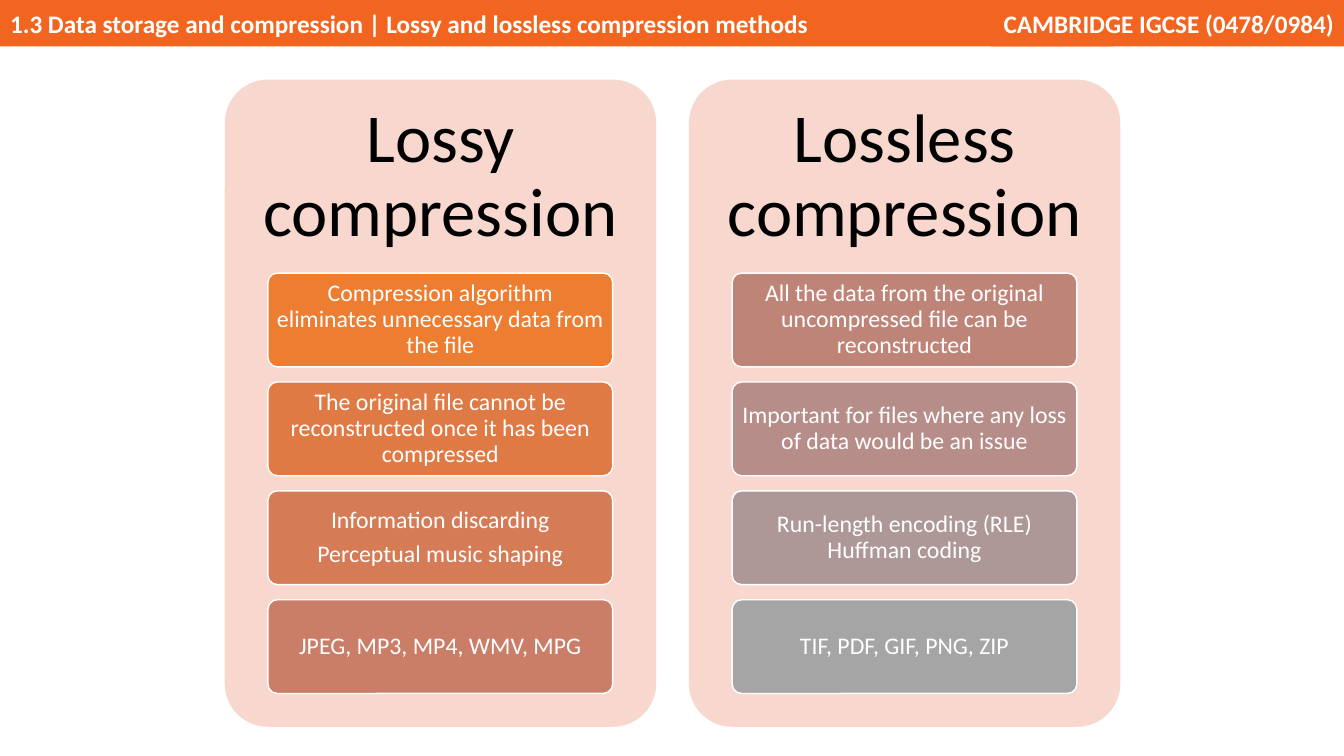
from pptx import Presentation
from pptx.dml.color import RGBColor
from pptx.enum.shapes import MSO_SHAPE
from pptx.enum.text import MSO_ANCHOR, MSO_AUTO_SIZE, PP_ALIGN
from pptx.util import Inches, Pt

ORANGE, PANEL, WHITE, BLACK = "F26521", "F8D7CE", "FFFFFF", "000000"
HEADER_HEIGHT = 5.52
PANEL_LEFT, PANEL_TOP, PANEL_WIDTH, PANEL_HEIGHT = 26.76, 9.48, 51.36, 77.04
PANEL_STEP, HEADING_HEIGHT = 55.26, 23.16
CARD_INDENT, CARD_TOP, CARD_WIDTH, CARD_HEIGHT, CARD_STEP = 5.14, 32.52, 41.04, 11.16, 12.96

METHODS = [
    ("Lossy compression", [
        ("ED7D31", ["Compression algorithm eliminates unnecessary data from the file"]),
        ("E07A44", ["The original file cannot be reconstructed once it has been compressed"]),
        ("D57B56", ["Information discarding", "Perceptual music shaping"]),
        ("CA7E67", ["JPEG, MP3, MP4, WMV, MPG"]),
    ]),
    ("Lossless compression", [
        ("BF8478", ["All the data from the original uncompressed file can be reconstructed"]),
        ("B68D88", ["Important for files where any loss of data would be an issue"]),
        ("AD9897", ["Run-length encoding (RLE) Huffman coding"]),
        ("A5A5A5", ["TIF, PDF, GIF, PNG, ZIP"]),
    ]),
]


def color(value):
    """Turn a hex string into a colour."""
    return RGBColor.from_string(value)


def write(shape, lines, *, size, ink=WHITE, bold=False, align=PP_ALIGN.CENTER,
          inset=(0.1, 0.05), spacing=1.0, after=0):
    """Fill a shape with formatted paragraphs."""
    frame = shape.text_frame
    frame.auto_size = MSO_AUTO_SIZE.NONE
    frame.word_wrap = True
    frame.vertical_anchor = MSO_ANCHOR.MIDDLE
    frame.margin_left = frame.margin_right = Inches(inset[0])
    frame.margin_top = frame.margin_bottom = Inches(inset[1])
    for number, line in enumerate(lines):
        para = frame.add_paragraph() if number else frame.paragraphs[0]
        para.alignment = align
        para.line_spacing = spacing
        para.space_before, para.space_after = Pt(0), Pt(after)
        span = para.add_run()
        span.text = line
        span.font.name, span.font.size, span.font.bold = "Calibri", Pt(size), bold
        span.font.color.rgb = color(ink)


class Board:
    """Draw on one slide, measured in 160 columns by 90 rows."""

    def __init__(self, deck):
        """Add a title-only page to the deck."""
        self.page = deck.slides.add_slide(deck.slide_layouts[5])
        self.column = deck.slide_width / 160
        self.row = deck.slide_height / 90

    def place(self, left, top, width, height):
        """Convert grid units to slide lengths."""
        return (round(left * self.column), round(top * self.row),
                round(width * self.column), round(height * self.row))

    def title(self, text, *area):
        """Make the title placeholder the left part of the header."""
        title = self.page.shapes.title
        title.left, title.top, title.width, title.height = self.place(*area)
        title.fill.solid()
        title.fill.fore_color.rgb = color(ORANGE)
        write(title, [text], size=18, bold=True, align=PP_ALIGN.LEFT)

    def block(self, kind, fill, *area, line=None):
        """Add a filled shape."""
        shape = self.page.shapes.add_shape(kind, *self.place(*area))
        shape.shadow.inherit = False
        shape.fill.solid()
        shape.fill.fore_color.rgb = color(fill)
        if line:
            shape.line.color.rgb = color(line)
            shape.line.width = Pt(1)
        else:
            shape.line.fill.background()
        return shape

    def course(self, text, *area):
        """Add the right part of the header."""
        bar = self.block(MSO_SHAPE.RECTANGLE, ORANGE, *area)
        write(bar, [text], size=18, bold=True, align=PP_ALIGN.RIGHT)

    def rounded(self, fill, *area, line=None):
        """Add a rectangle with softly rounded corners."""
        shape = self.block(MSO_SHAPE.ROUNDED_RECTANGLE, fill, *area, line=line)
        shape.adjustments[0] = 0.1
        return shape

    def heading(self, text, *area):
        """Add a large panel heading."""
        box = self.page.shapes.add_textbox(*self.place(*area))
        write(box, [text], size=49, ink=BLACK, inset=(0.2, 0.2), spacing=0.9, after=17)

    def card(self, lines, fill, *area):
        """Add a coloured card with its text."""
        card = self.rounded(fill, *area, line=WHITE)
        write(card, lines, size=17, inset=(0.05, 0.04), spacing=0.9, after=6)


def main():
    """Build and save the deck."""
    deck = Presentation()
    deck.slide_width, deck.slide_height = Inches(13.33), Inches(7.5)
    board = Board(deck)
    board.title("1.3 Data storage and compression | Lossy and lossless compression methods",
                0, 0, 132.48, HEADER_HEIGHT)
    board.course("CAMBRIDGE IGCSE (0478/0984)", 118, 0, 42, HEADER_HEIGHT)
    for column, (name, cards) in enumerate(METHODS):
        left = PANEL_LEFT + column * PANEL_STEP
        board.rounded(PANEL, left, PANEL_TOP, PANEL_WIDTH, PANEL_HEIGHT)
        board.heading(name, left, PANEL_TOP, PANEL_WIDTH, HEADING_HEIGHT)
        for row, (fill, lines) in enumerate(cards):
            board.card(lines, fill, left + CARD_INDENT, CARD_TOP + row * CARD_STEP,
                       CARD_WIDTH, CARD_HEIGHT)
    deck.save("out.pptx")


if __name__ == "__main__":
    main()
